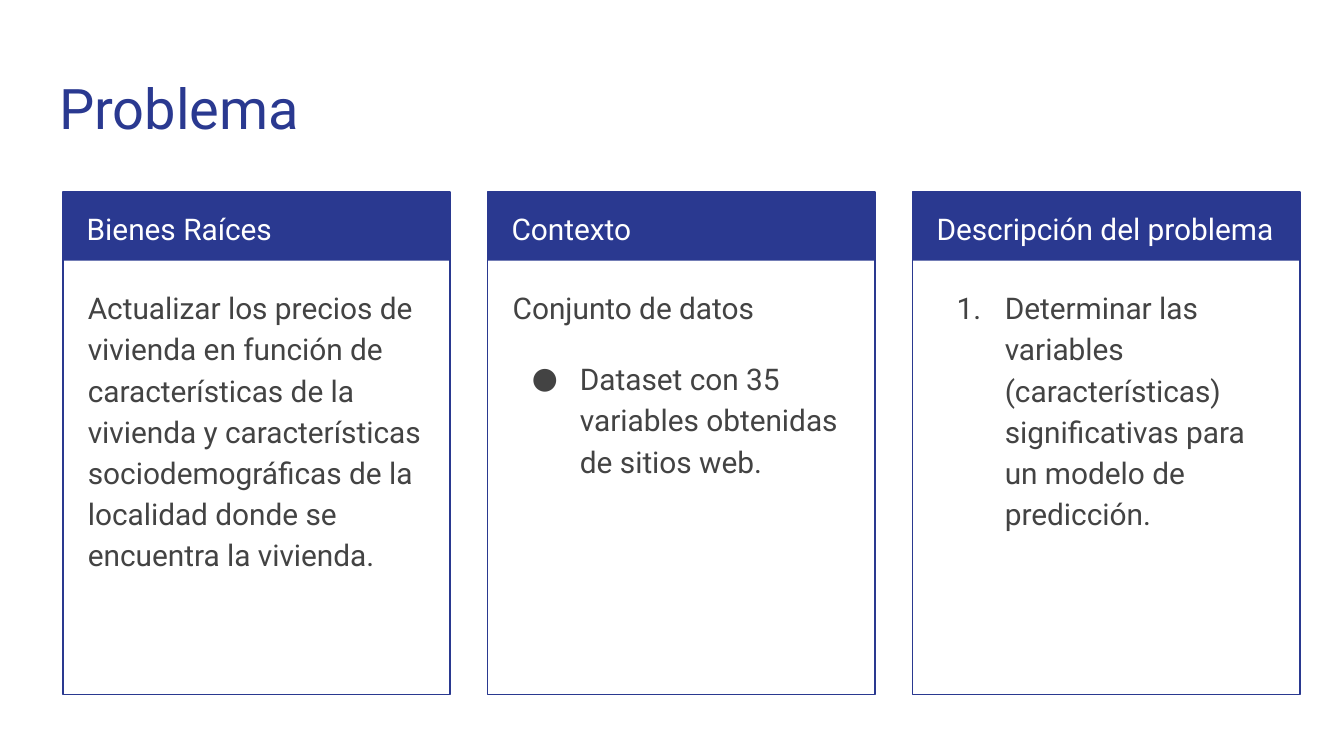
from lxml import etree
from pptx import Presentation
from pptx import util as u
from pptx.dml.color import RGBColor
from pptx.enum import shapes, text
from pptx.oxml import ns

BLUE, GREY, WHITE = "2A3990", "434343", "FFFFFF"
COMPARISON_LAYOUT = 4


def colour(hex_string):
    return RGBColor.from_string(hex_string)


def set_marker(paragraph, marker, color):
    """Set a "bullet", a "number" or no marker, with its hanging indent."""
    props = paragraph._p.get_or_add_pPr()
    props.set("marL", str(u.Cm(1.27) if marker else 0))
    props.set("indent", str(u.Cm(-0.91) if marker else 0))

    def add(parent, tag, **attributes):
        return etree.SubElement(parent, ns.qn(tag), attributes)

    if marker is None:
        add(props, "a:buNone")
        return
    add(add(props, "a:buClr"), "a:srgbClr", val=color)
    add(props, "a:buFont", typeface="Roboto")
    if marker == "bullet":
        add(props, "a:buChar", char="●")
    else:
        add(props, "a:buAutoNum", type="arabicPeriod")


def write(paragraph, words, size=16, color=GREY, spacing=1.15, before=0, marker=None):
    paragraph.alignment = text.PP_ALIGN.LEFT
    paragraph.line_spacing = spacing
    paragraph.space_before = u.Pt(before)
    paragraph.space_after = u.Pt(0)
    set_marker(paragraph, marker, color)
    run = paragraph.add_run()
    run.text = words
    run.font.name = "Roboto"
    run.font.size = u.Pt(size)
    run.font.bold = False
    run.font.color.rgb = colour(color)


class Deck:
    font_inset = u.Cm(0.25)

    def __init__(self, width, height):
        self.presentation = Presentation()
        self.presentation.slide_width = width
        self.presentation.slide_height = height

    def new_slide(self, layout):
        self.slide = self.presentation.slides.add_slide(
            self.presentation.slide_layouts[layout])

    def fill_text(self, holder, box, paragraphs):
        """Place a text holder and write (words, format) pairs into it."""
        holder.left, holder.top, holder.width, holder.height = map(u.Cm, box)
        frame = holder.text_frame
        frame.word_wrap = True
        frame.auto_size = text.MSO_AUTO_SIZE.NONE
        frame.vertical_anchor = text.MSO_ANCHOR.TOP
        frame.margin_left = frame.margin_right = self.font_inset
        frame.margin_top = frame.margin_bottom = self.font_inset
        for i, (words, style) in enumerate(paragraphs):
            paragraph = frame.add_paragraph() if i else frame.paragraphs[0]
            write(paragraph, words, **style)

    def title(self, words, box):
        self.fill_text(self.slide.shapes.title, box,
                       [(words, dict(size=30, color=BLUE, spacing=1.0))])

    def body(self, index, box, paragraphs):
        self.fill_text(self.slide.placeholders[index], box, paragraphs)

    def heading(self, words, box):
        label = self.slide.shapes.add_textbox(*map(u.Cm, box))
        self.fill_text(label, box, [(words, dict(color=WHITE))])

    def rectangle(self, group, box, fill=None, line=None):
        rect = group.shapes.add_shape(shapes.MSO_SHAPE.RECTANGLE, *map(u.Cm, box))
        rect.shadow.inherit = False
        if fill:
            rect.fill.solid()
            rect.fill.fore_color.rgb = colour(fill)
        else:
            rect.fill.background()
        if line:
            rect.line.color.rgb = colour(line)
            rect.line.width = u.Pt(0.75)
        else:
            rect.line.fill.background()

    def card(self, index, left, heading, paragraphs):
        top, width = 3.63, 7.32
        group = self.slide.shapes.add_group_shape()
        self.rectangle(group, (left, top, width, 1.3), fill=BLUE)
        self.rectangle(group, (left, top, width, 9.5), line=BLUE)
        self.heading(heading, (left + 0.2, top, 7.12, 1.27))
        self.body(index, (left + 0.22, 5.13, 6.88, 7.77), paragraphs)

    def remove_empty_placeholders(self):
        for holder in list(self.slide.placeholders):
            if not holder.text_frame.text:
                holder._element.getparent().remove(holder._element)


CARDS = [
    ("Bienes Raíces", [
        ("Actualizar los precios de vivienda en función de características de la "
         "vivienda y características sociodemográficas de la localidad donde se "
         "encuentra la vivienda.", {}),
    ]),
    ("Contexto", [
        ("Conjunto de datos", {}),
        ("Dataset con 35 variables obtenidas de sitios web.",
         dict(before=16, marker="bullet")),
    ]),
    ("Descripción del problema", [
        ("Determinar las variables (características) significativas para un "
         "modelo de predicción.", dict(marker="number")),
    ]),
]


def main():
    deck = Deck(u.Cm(25.4), u.Cm(14.29))
    deck.new_slide(COMPARISON_LAYOUT)
    deck.title("Problema", (0.87, 1.14, 23.67, 1.68))
    for i, (heading, paragraphs) in enumerate(CARDS):
        deck.card(i + 1, 1.19 + 8.03 * i, heading, paragraphs)
    deck.remove_empty_placeholders()
    deck.presentation.save("out.pptx")


if __name__ == "__main__":
    main()
